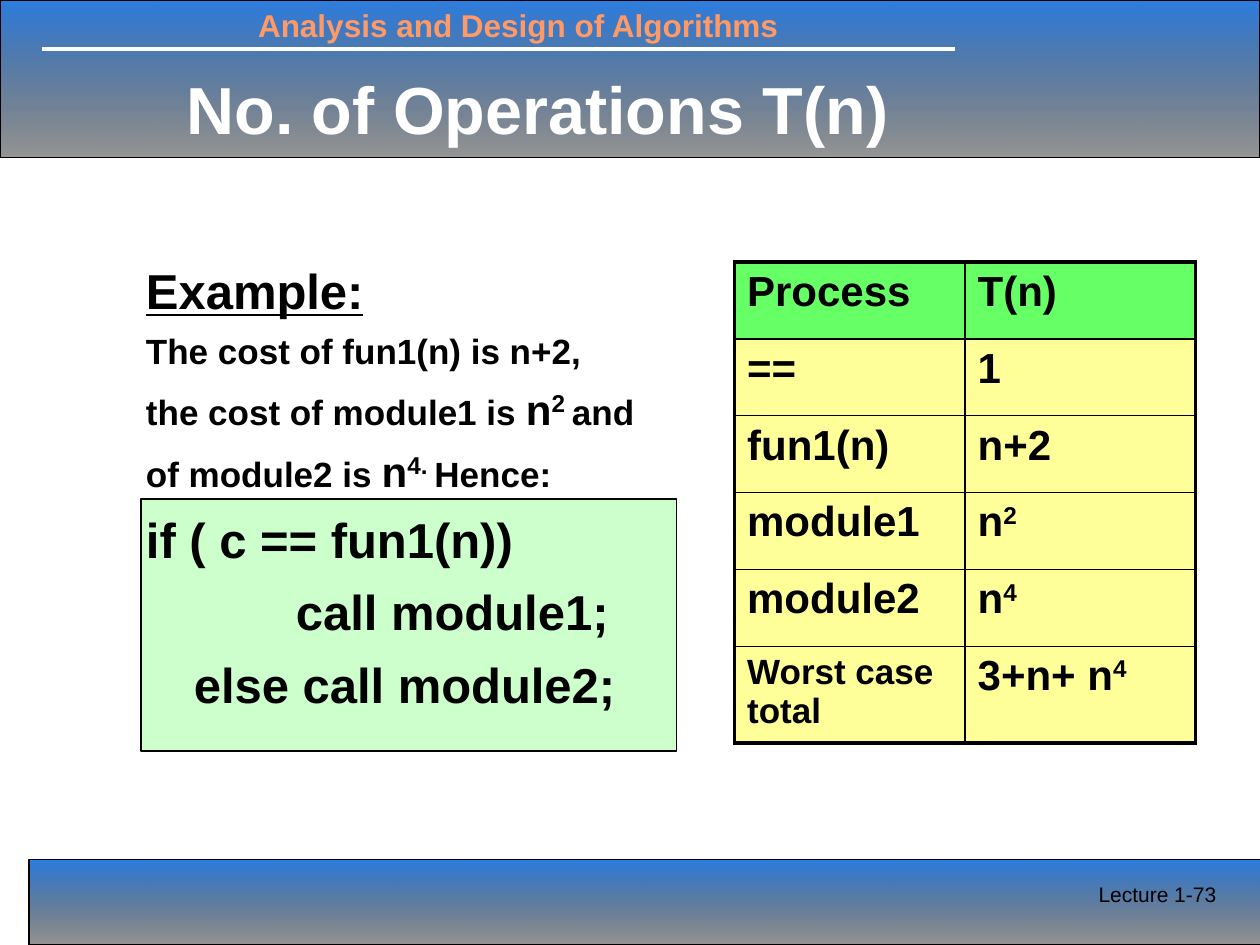
from lxml.etree import SubElement
from pptx import Presentation
from pptx.dml.color import RGBColor
from pptx.enum.shapes import MSO_CONNECTOR, MSO_SHAPE
from pptx.enum.text import MSO_ANCHOR, PP_ALIGN
from pptx.oxml.ns import qn
from pptx.util import Inches, Pt

BLACK = RGBColor(0x00, 0x00, 0x00)
WHITE = RGBColor(0xFF, 0xFF, 0xFF)
BLUE = RGBColor(0x0E, 0x6B, 0xDC)
ORANGE = RGBColor(0xFF, 0x99, 0x66)
MINT = RGBColor(0xCC, 0xFF, 0xCC)
GREEN = RGBColor(0x66, 0xFF, 0x66)
YELLOW = RGBColor(0xFF, 0xFF, 0x99)

FONT = "Arial"
COURSE = "Analysis and Design of Algorithms"
TITLE = "No. of Operations T(n)"
FOOTER = "Lecture 1-73"
BARS = [(0, 0, 10, 1.25), (0.23, 6.82, 10, 0.68)]
BAR_STOPS = [(BLUE, 88), (BLACK, 41)]  # colour, opacity in percent

# Each run is (text, size) or (text, size, "sup"); each line has a left indent.
EXAMPLE = [
    (0, [("Example:", 28)]),
    (0, [("The cost of fun1(n) is n+2,", 20)]),
    (0, [("the cost of module1 is ", 20), ("n", 24), ("2 ", 24, "sup"), ("and", 20)]),
    (0, [("of module2 is ", 20), ("n", 24), ("4. ", 24, "sup"), ("Hence:", 20)]),
    (0, [("if ( c == fun1(n))", 28)]),
    (1.19, [("call module1;", 28)]),
    (0.38, [("else call module2;", 28)]),
]
COSTS = [
    ([("Process", 24)], [("T(n)", 24)]),
    ([("==", 24)], [("1", 24)]),
    ([("fun1(n)", 24)], [("n+2", 24)]),
    ([("module1", 24)], [("n", 24), ("2", 24, "sup")]),
    ([("module2", 24)], [("n", 24), ("4", 24, "sup")]),
    ([("Worst case total", 20)], [("3+n+ n", 24), ("4", 24, "sup")]),
]
ROW_HEIGHTS = [0.61] * 5 + [0.74]
COL_WIDTH = 1.83
THICK, THIN = 2.25, 1


def add_runs(p, runs, color=BLACK, bold=True):
    for text, size, *sup in runs:
        r = p.add_run()
        r.text = text
        r.font.name, r.font.size, r.font.bold = FONT, Pt(size), bold
        r.font.color.rgb = color
        if sup:
            r.font._element.set("baseline", "30000")


def add_text(s, box, runs=(), **style):
    tf = s.shapes.add_textbox(*map(Inches, box)).text_frame
    tf.word_wrap = True
    add_runs(tf.paragraphs[0], runs, **style)
    return tf


def add_box(s, box, line_width):
    sp = s.shapes.add_shape(MSO_SHAPE.RECTANGLE, *map(Inches, box))
    sp.shadow.inherit = False
    sp.line.color.rgb = BLACK
    sp.line.width = Pt(line_width)
    return sp


def add_bar(s, box):
    fill = add_box(s, box, 0.75).fill
    fill.gradient()
    fill.gradient_angle = 270
    for stop, (color, opacity) in zip(fill.gradient_stops, BAR_STOPS):
        stop.color.rgb = color
        rgb = stop._element.find(qn("a:srgbClr"))
        SubElement(rgb, qn("a:alpha")).set("val", str(opacity * 1000))


def set_borders(cell, widths):
    """Draw black cell borders; the fill must be set afterwards."""
    tc_pr = cell._tc.get_or_add_tcPr()
    for side, width in widths.items():
        ln = SubElement(tc_pr, qn(f"a:ln{side}"), w=str(Pt(width)))
        fill = SubElement(ln, qn("a:solidFill"))
        SubElement(fill, qn("a:srgbClr"), val=str(BLACK))


def add_cost_table(s):
    rows, cols = len(COSTS), len(COSTS[0])
    table = s.shapes.add_table(
        rows, cols, Inches(5.83), Inches(2.08),
        Inches(COL_WIDTH * cols), Inches(sum(ROW_HEIGHTS))).table
    for column in table.columns:
        column.width = Inches(COL_WIDTH)
    for i, row in enumerate(COSTS):
        table.rows[i].height = Inches(ROW_HEIGHTS[i])
        for j, runs in enumerate(row):
            cell = table.cell(i, j)
            outer = {"L": j == 0, "R": j == cols - 1, "T": i == 0, "B": i == rows - 1}
            set_borders(cell, {k: THICK if v else THIN for k, v in outer.items()})
            cell.fill.solid()
            cell.fill.fore_color.rgb = YELLOW if i else GREEN
            add_runs(cell.text_frame.paragraphs[0], runs)


def add_example(s):
    tf = add_text(s, (1.06, 1.97, 4.29, 4.5))
    tf.margin_top = Inches(0.1)
    for i, (indent, runs) in enumerate(EXAMPLE):
        p = tf.add_paragraph() if i else tf.paragraphs[0]
        if indent:
            p._p.get_or_add_pPr().set("marL", str(Inches(indent)))
        if i:
            p.space_before = Pt(round(0.28 * max(run[1] for run in runs), 1))
        add_runs(p, runs)
    tf.paragraphs[0].runs[0].font.underline = True


def add_title(s):
    title = s.shapes.title
    title.left, title.top, title.width, title.height = map(Inches, (1.38, 0.23, 8.5, 1.25))
    tf = title.text_frame
    tf.vertical_anchor = MSO_ANCHOR.MIDDLE
    p = tf.paragraphs[0]
    p.alignment = PP_ALIGN.LEFT
    add_runs(p, [(TITLE, 38)], WHITE)
    s.shapes._spTree.append(title._element)  # in front of the bars


def main():
    prs = Presentation()
    prs.slide_width, prs.slide_height = Inches(10), Inches(7.5)
    s = prs.slides.add_slide(prs.slide_layouts[5])

    for bar in BARS:
        add_bar(s, bar)
    rule = s.shapes.add_connector(
        MSO_CONNECTOR.STRAIGHT, *map(Inches, (0.33, 0.39, 7.58, 0.39)))
    rule.line.color.rgb = WHITE
    rule.line.width = Pt(2.25)
    SubElement(rule._element.spPr, qn("a:effectLst"))
    add_text(s, (1.95, 0, 5, 0.4), [(COURSE, 18)], color=ORANGE)

    code_box = add_box(s, (1.12, 3.96, 4.25, 2), 1)
    code_box.fill.solid()
    code_box.fill.fore_color.rgb = MINT
    add_title(s)
    add_example(s)
    add_cost_table(s)
    add_text(s, (8.62, 6.95, 1.38, 0.5), [(FOOTER, 12)], bold=False)
    prs.save("out.pptx")


if __name__ == "__main__":
    main()
